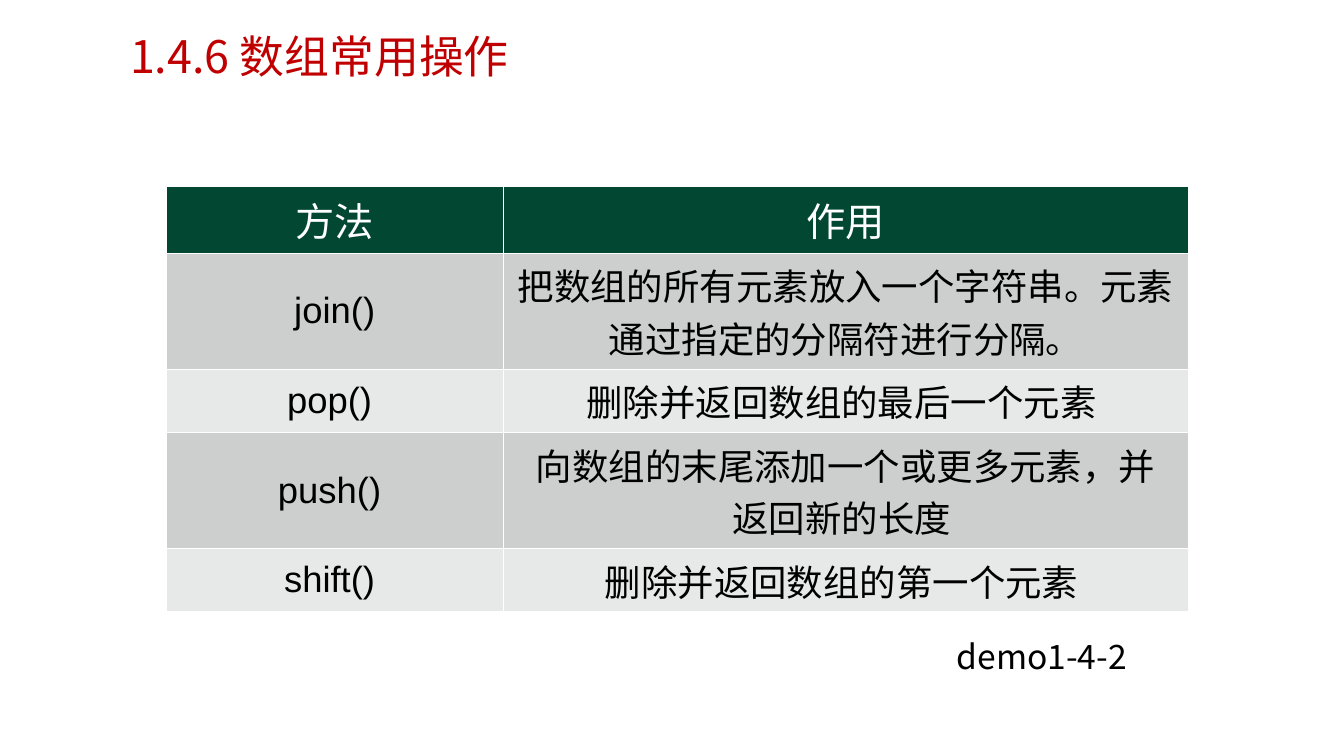
from dataclasses import dataclass

from lxml.etree import SubElement
from pptx import Presentation
from pptx.dml.color import RGBColor
from pptx.enum.text import MSO_ANCHOR as Anchor, PP_ALIGN as Align
from pptx.oxml.ns import qn
from pptx.util import Inches, Pt

RED = RGBColor(0xC0, 0x00, 0x00)
GREEN = RGBColor(0x02, 0x47, 0x31)
DARK_BAND = RGBColor(0xCC, 0xCF, 0xCE)
LIGHT_BAND = RGBColor(0xE7, 0xE9, 0xE8)
WHITE = RGBColor(0xFF, 0xFF, 0xFF)
BLACK = RGBColor(0x00, 0x00, 0x00)
CHINESE_FONT = "Noto Sans CJK SC"


@dataclass(frozen=True)
class TextStyle:
    size: int
    color: RGBColor
    font: str
    align: Align = Align.LEFT


@dataclass(frozen=True)
class Method:
    name: str
    effect: str
    height: float


TITLE_STYLE = TextStyle(32, RED, CHINESE_FONT)
HEADER_STYLE = TextStyle(28, WHITE, "Arial", Align.CENTER)
BODY_STYLE = TextStyle(26, BLACK, "Arial", Align.CENTER)
DEMO_STYLE = TextStyle(24, BLACK, CHINESE_FONT)

COLUMN_WIDTHS = (3.34, 6.8)
ROWS = (
    Method("方法", "作用", 0.65),
    Method("join()", "把数组的所有元素放入一个字符串。元素通过指定的分隔符进行分隔。", 1.15),
    Method("pop() ", "删除并返回数组的最后一个元素 ", 0.63),
    Method("push() ", "向数组的末尾添加一个或更多元素，并\n返回新的长度 ", 1.15),
    Method("shift() ", "删除并返回数组的第一个元素 ", 0.63),
)


def write(frame, text: str, style: TextStyle) -> None:
    para = frame.paragraphs[0]
    para.text = text
    para.alignment = style.align
    settings = {"name": style.font, "size": Pt(style.size), "bold": False}
    for span in para.runs:
        for key, value in settings.items():
            setattr(span.font, key, value)
        span.font.color.rgb = style.color
        SubElement(span.font._element, qn("a:ea"), typeface=CHINESE_FONT)


def place_title(page) -> None:
    title = page.shapes.title
    bounds = {"left": 1.19, "top": 0.28, "width": 8.96, "height": 0.54}
    for key, value in bounds.items():
        setattr(title, key, Inches(value))
    title.text_frame.vertical_anchor = Anchor.MIDDLE
    write(title.text_frame, "1.4.6 数组常用操作", TITLE_STYLE)


def add_method_table(page) -> None:
    height = sum(row.height for row in ROWS)
    table = page.shapes.add_table(
        len(ROWS), len(COLUMN_WIDTHS),
        Inches(1.65), Inches(1.85), Inches(sum(COLUMN_WIDTHS)), Inches(height),
    ).table
    for column, width in zip(table.columns, COLUMN_WIDTHS):
        column.width = Inches(width)
    for index, method in enumerate(ROWS):
        table.rows[index].height = Inches(method.height)
        band = DARK_BAND if index % 2 else LIGHT_BAND
        for cell, text in zip(table.rows[index].cells, (method.name, method.effect)):
            cell.vertical_anchor = Anchor.MIDDLE
            cell.fill.solid()
            cell.fill.fore_color.rgb = band if index else GREEN
            write(cell.text_frame, text, BODY_STYLE if index else HEADER_STYLE)


def add_demo_label(page) -> None:
    box = page.shapes.add_textbox(Inches(9.39), Inches(6.26), Inches(2.02), Inches(0.5))
    box.text_frame.word_wrap = False
    write(box.text_frame, "demo1-4-2", DEMO_STYLE)


def main() -> None:
    deck = Presentation()
    deck.slide_width = Inches(13.33)
    deck.slide_height = Inches(7.5)
    page = deck.slides.add_slide(deck.slide_layouts[5])
    place_title(page)
    add_method_table(page)
    add_demo_label(page)
    deck.save("out.pptx")


if __name__ == "__main__":
    main()
